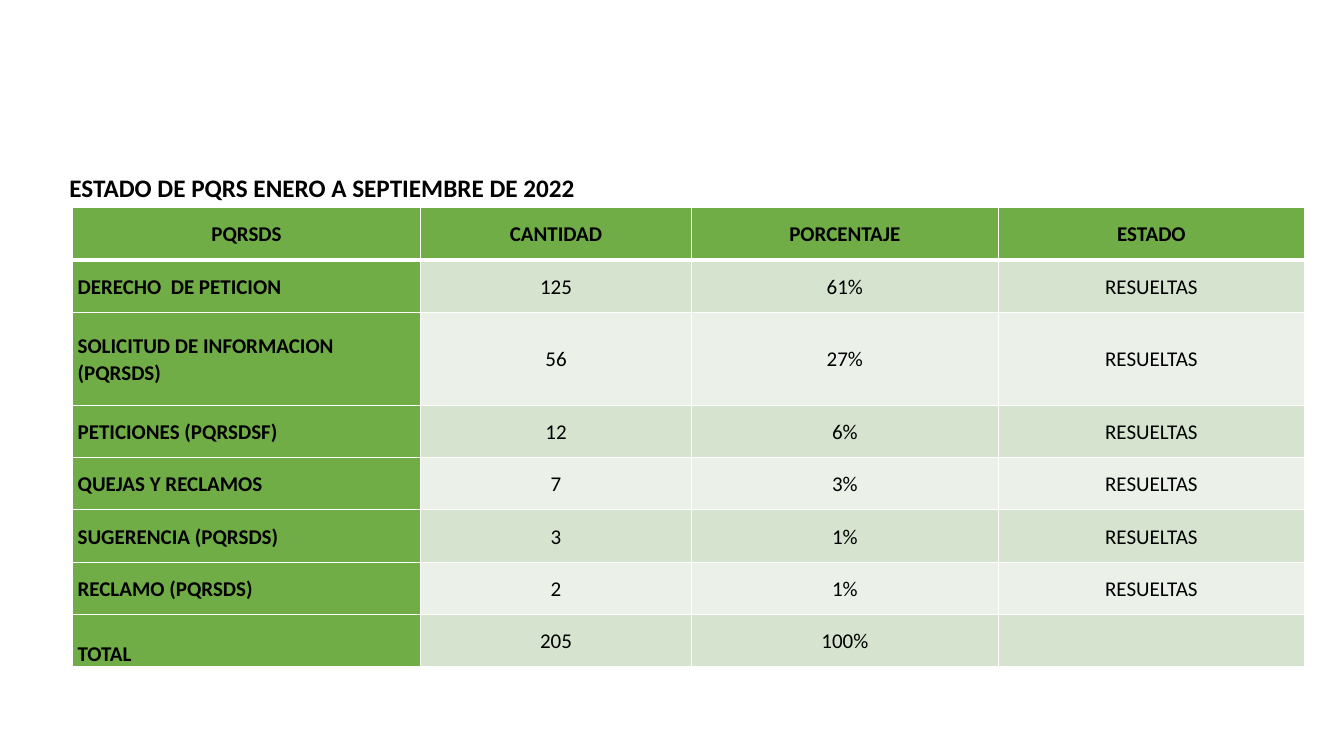
from dataclasses import dataclass

from lxml import etree
from pptx import Presentation
from pptx.dml.color import RGBColor
from pptx.enum.text import MSO_ANCHOR, MSO_AUTO_SIZE, PP_ALIGN
from pptx.oxml.ns import qn
from pptx.table import _Cell
from pptx.text.text import _Paragraph
from pptx.util import Inches, Pt

LEFT, CENTER = PP_ALIGN.LEFT, PP_ALIGN.CENTER
MIDDLE, BOTTOM = MSO_ANCHOR.MIDDLE, MSO_ANCHOR.BOTTOM
FIT = MSO_AUTO_SIZE.SHAPE_TO_FIT_TEXT

BLACK = RGBColor(0x00, 0x00, 0x00)
WHITE = RGBColor(0xFF, 0xFF, 0xFF)
GREEN = RGBColor(0x70, 0xAD, 0x47)
BANDS = (RGBColor(0xEB, 0xF1, 0xE9), RGBColor(0xD5, 0xE3, 0xCF))

FONT = "Calibri"
TITLE = "ESTADO DE PQRS ENERO A SEPTIEMBRE DE 2022"
WIDTHS = (3.45, 2.69, 3.04, 3.04)
HEIGHT = 0.52


@dataclass
class Row:
    label: str
    count: str
    share: str
    state: str = "RESUELTAS"
    height: float = HEIGHT


ROWS = (
    Row("PQRSDS", "CANTIDAD", "PORCENTAJE", "ESTADO"),
    Row("DERECHO  DE PETICION", "125", "61%"),
    Row("SOLICITUD DE INFORMACION (PQRSDS)", "56", "27%", height=0.92),
    Row("PETICIONES (PQRSDSF)", "12", "6%"),
    Row("QUEJAS Y RECLAMOS", "7", "3%"),
    Row("SUGERENCIA (PQRSDS)", "3", "1%"),
    Row("RECLAMO (PQRSDS)", "2", "1%"),
    Row("TOTAL", "205", "100%", ""),
)


def style(para: _Paragraph, size: int, bold: bool) -> None:
    font = para.font
    font.name, font.size, font.bold = FONT, Pt(size), bold
    font.color.rgb = BLACK


def border(cell: _Cell, side: str, width: float) -> None:
    props = cell._tc.get_or_add_tcPr()
    line = etree.SubElement(props, qn(f"a:ln{side}"), w=str(Pt(width)))
    fill = etree.SubElement(line, qn("a:solidFill"))
    etree.SubElement(fill, qn("a:srgbClr"), val=str(WHITE))


def draw_cell(cell: _Cell, text: str, row: int, col: int) -> None:
    head, key = row == 0, row == 0 or col == 0
    # Borders come before the fill; the header is set off by a thick rule
    for side in "LRTB":
        thick = (head and side == "B") or (row == 1 and side == "T")
        border(cell, side, 3 if thick else 1)
    cell.fill.solid()
    cell.fill.fore_color.rgb = GREEN if key else BANDS[row % 2]
    cell.margin_left = cell.margin_right = Inches(0.05)
    cell.margin_top = cell.margin_bottom = 0
    cell.vertical_anchor = BOTTOM if text == "TOTAL" else MIDDLE
    cell.text = text
    para = cell.text_frame.paragraphs[0]
    para.alignment = CENTER if head or col else LEFT
    para.line_spacing = 1.07
    style(para, 15, key)


def main() -> None:
    deck = Presentation()
    deck.slide_width, deck.slide_height = Inches(13.33), Inches(7.5)
    slide = deck.slides.add_slide(deck.slide_layouts[6])

    # Title
    box = slide.shapes.add_textbox(
        Inches(0.59), Inches(1.66), Inches(9.56), Inches(0.4))
    frame = box.text_frame
    frame.word_wrap, frame.auto_size = True, FIT
    frame.text = TITLE
    style(frame.paragraphs[0], 18, True)

    # Table of requests
    table = slide.shapes.add_table(
        len(ROWS), len(WIDTHS), Inches(0.72), Inches(2.06),
        Inches(sum(WIDTHS)), Inches(sum(r.height for r in ROWS))).table
    table.first_row = table.horz_banding = False
    for col, width in enumerate(WIDTHS):
        table.columns[col].width = Inches(width)
    for i, row in enumerate(ROWS):
        table.rows[i].height = Inches(row.height)
        for j, text in enumerate((row.label, row.count, row.share, row.state)):
            draw_cell(table.cell(i, j), text, i, j)

    deck.save("out.pptx")


if __name__ == "__main__":
    main()
